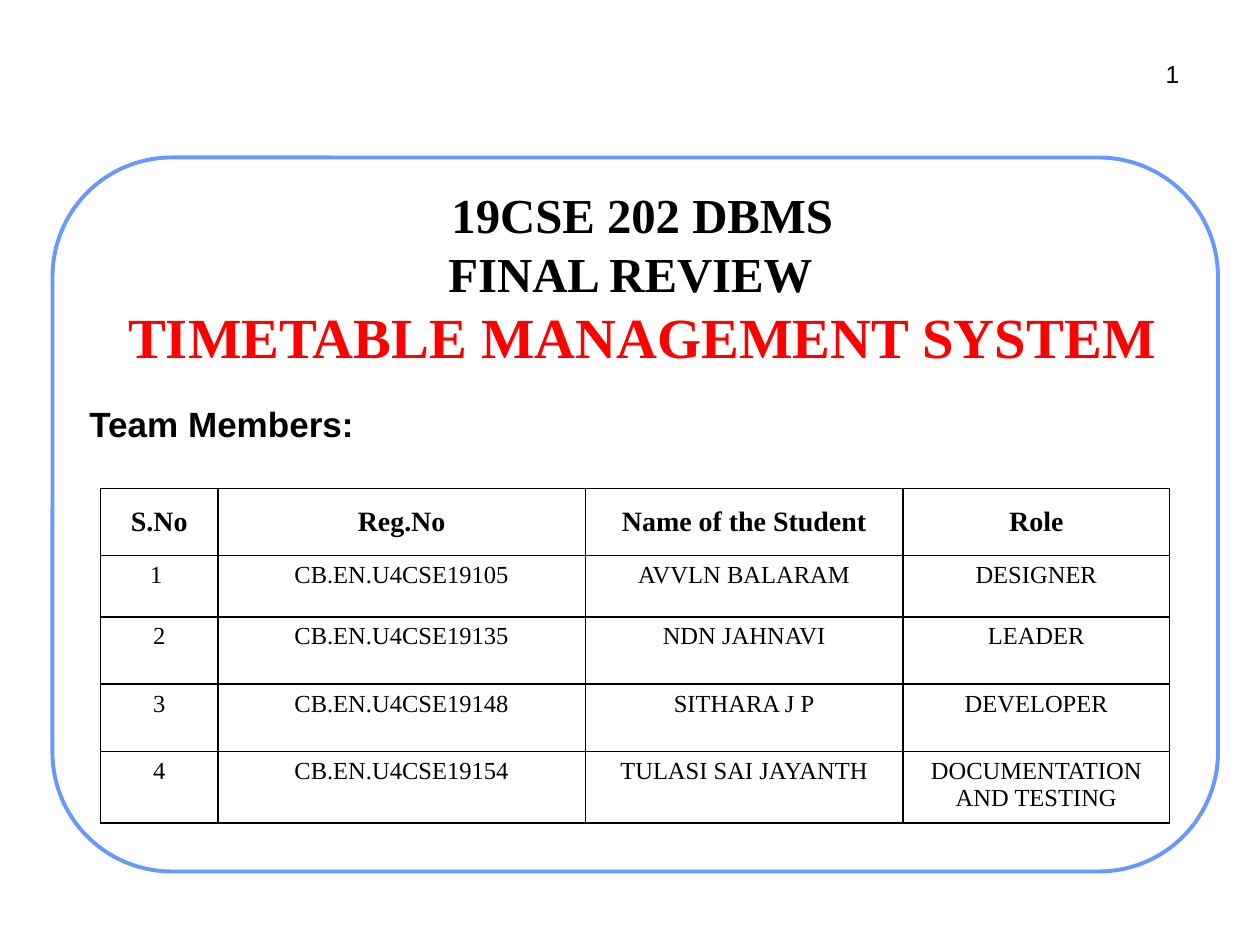
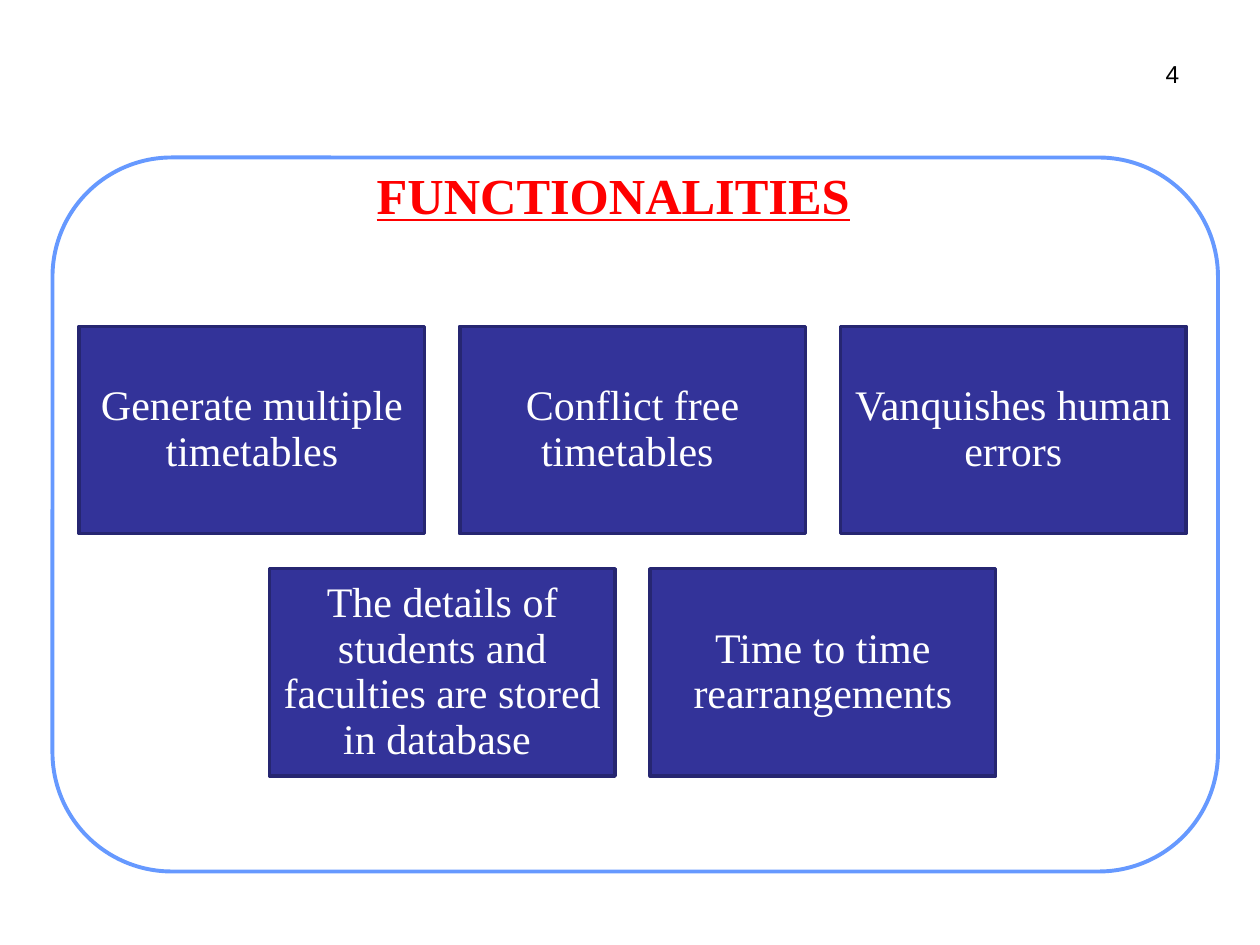
from lxml import etree
from pptx import Presentation
from pptx.dml.color import RGBColor
from pptx.enum.shapes import MSO_SHAPE
from pptx.enum.text import MSO_ANCHOR, PP_ALIGN
from pptx.oxml.ns import qn
from pptx.util import Pt

LEFT, CENTER, RIGHT = PP_ALIGN.LEFT, PP_ALIGN.CENTER, PP_ALIGN.RIGHT
TOP, MIDDLE = MSO_ANCHOR.TOP, MSO_ANCHOR.MIDDLE
RECTANGLE, ROUNDED = MSO_SHAPE.RECTANGLE, MSO_SHAPE.ROUNDED_RECTANGLE

SERIF, SANS = "Times New Roman", "Arial"
BLACK, WHITE, RED = "000000", "FFFFFF", "FF0000"
FRAME_BLUE, CARD_BLUE, CARD_EDGE = "6699FF", "333399", "262671"

COURSE = "19CSE 202 DBMS\vFINAL REVIEW  \v"
PROJECT = "TIMETABLE MANAGEMENT SYSTEM"
TEAM_HEADING = "Team Members:"
TEAM = [
    ("S.No", "Reg.No", "Name of the Student", "Role"),
    ("1 ", "CB.EN.U4CSE19105", "AVVLN BALARAM", "DESIGNER"),
    ("2", "CB.EN.U4CSE19135", "NDN JAHNAVI", "LEADER"),
    ("3", "CB.EN.U4CSE19148", "SITHARA J P", "DEVELOPER"),
    ("4", "CB.EN.U4CSE19154", "TULASI SAI JAYANTH", "DOCUMENTATION AND TESTING"),
]
COLUMN_WIDTHS = (67, 210, 181.5, 152.5)
ROW_HEIGHTS = (38.5, 35, 38.5, 38.5, 38.5)

FUNCTIONS_HEADING = "FUNCTIONALITIES"
FUNCTIONS = [
    ["Generate multiple timetables", "Conflict free timetables ", "Vanquishes human errors"],
    ["The details of students and faculties are stored in database ",
     "Time to time rearrangements"],
]
CARD_WIDTH, CARD_HEIGHT, CARD_GAP = 197.5, 118.5, 20
CARDS_CENTER, CARDS_TOP = 361.5, 186.5


def rgb(value):
    return RGBColor.from_string(value)


def write(frame, text, size=14, font=SERIF, color=BLACK, bold=False, underline=False,
          align=CENTER, anchor=TOP, inset=3.6, spacing=None, wrap=True):
    frame.word_wrap = wrap
    frame.vertical_anchor = anchor
    frame.margin_left = frame.margin_right = Pt(inset)
    frame.margin_top = frame.margin_bottom = Pt(inset)
    frame.text = text
    for paragraph in frame.paragraphs:
        paragraph.alignment = align
        paragraph.line_spacing = spacing
        for run in paragraph.runs:
            style(run, size, font, color, bold, underline)


def style(run, size, font, color, bold, underline=False):
    run.font.size, run.font.name = Pt(size), font
    run.font.bold, run.font.underline = bold, underline
    run.font.color.rgb = rgb(color)


def place(shape, left, top, width, height):
    shape.left, shape.top = Pt(left), Pt(top)
    shape.width, shape.height = Pt(width), Pt(height)


def add_box(slide, kind, bounds, fill, line, weight):
    box = slide.shapes.add_shape(kind, *map(Pt, bounds))
    box.shadow.inherit = False
    box.fill.solid()
    box.fill.fore_color.rgb = rgb(fill)
    box.line.color.rgb = rgb(line)
    box.line.width = Pt(weight)
    return box


def add_label(slide, bounds, text, **options):
    label = slide.shapes.add_textbox(*map(Pt, bounds))
    write(label.text_frame, text, **options)


def add_layout_frame(slide):
    frame = add_box(slide, ROUNDED, (30, 90, 666, 408), WHITE, FRAME_BLUE, 2.25)
    frame.adjustments[0] = 0.167
    frame.element.nvSpPr.cNvPr.id = 20
    slide.slide_layout.shapes.element.insert(2, frame.element)


def add_slide(deck, number):
    slide = deck.slides.add_slide(deck.slide_layouts[5])
    add_label(slide, (661.5, 30, 16, 23), number, font=SANS, align=RIGHT, wrap=False)
    return slide


def set_borders(cell):
    properties = cell._tc.get_or_add_tcPr()
    for index, side in enumerate(("lnL", "lnR", "lnT", "lnB")):
        border = etree.Element(qn(f"a:{side}"), w=str(Pt(1)))
        fill = etree.SubElement(border, qn("a:solidFill"))
        etree.SubElement(fill, qn("a:srgbClr"), val=BLACK)
        properties.insert(index, border)


def add_team_table(slide):
    bounds = (57.5, 279, sum(COLUMN_WIDTHS), sum(ROW_HEIGHTS))
    table = slide.shapes.add_table(len(TEAM), len(TEAM[0]), *map(Pt, bounds)).table
    table.horz_banding = False
    for column, width in zip(table.columns, COLUMN_WIDTHS):
        column.width = Pt(width)
    for index, (row, height, member) in enumerate(zip(table.rows, ROW_HEIGHTS, TEAM)):
        row.height = Pt(height)
        header = index == 0
        for cell, text in zip(row.cells, member):
            write(cell.text_frame, text, size=16 if header else 14, bold=header)
            cell.vertical_anchor = MIDDLE if header else TOP
            cell.margin_left = cell.margin_right = Pt(0 if header else 7.2)
            cell.margin_top = cell.margin_bottom = Pt(0 if header else 3.6)
            cell.fill.solid()
            cell.fill.fore_color.rgb = rgb(WHITE)
            set_borders(cell)


def build_team_slide(deck):
    slide = add_slide(deck, "1")
    add_layout_frame(slide)
    title = slide.shapes.title
    place(title, 64, 103, 606, 111)
    write(title.text_frame, COURSE, size=27.9, bold=True, anchor=MIDDLE)
    project = title.text_frame.paragraphs[0].add_run()
    project.text = PROJECT
    style(project, 32.4, SERIF, RED, True)
    add_label(slide, (47.5, 231, 630.5, 289.5), TEAM_HEADING, size=20, font=SANS,
              bold=True, align=LEFT, spacing=0.8)
    add_team_table(slide)


def build_functions_slide(deck):
    slide = add_slide(deck, "4")
    title = slide.shapes.title
    place(title, 44.5, 103, 612, 49)
    write(title.text_frame, FUNCTIONS_HEADING, size=28.8, color=RED, bold=True,
          underline=True, anchor=MIDDLE)
    title.text_frame.margin_bottom = Pt(36.5)
    for row, functions in enumerate(FUNCTIONS):
        row_width = len(functions) * (CARD_WIDTH + CARD_GAP) - CARD_GAP
        top = CARDS_TOP + row * (CARD_HEIGHT + CARD_GAP)
        for column, function in enumerate(functions):
            left = CARDS_CENTER - row_width / 2 + column * (CARD_WIDTH + CARD_GAP)
            card = add_box(slide, RECTANGLE, (left, top, CARD_WIDTH, CARD_HEIGHT),
                           CARD_BLUE, CARD_EDGE, 2)
            write(card.text_frame, function, size=24, color=WHITE, anchor=MIDDLE,
                  inset=7.2, spacing=0.9)


def main():
    deck = Presentation()
    deck.slide_width, deck.slide_height = Pt(720), Pt(540)
    build_team_slide(deck)
    build_functions_slide(deck)
    deck.save("out.pptx")


if __name__ == "__main__":
    main()
